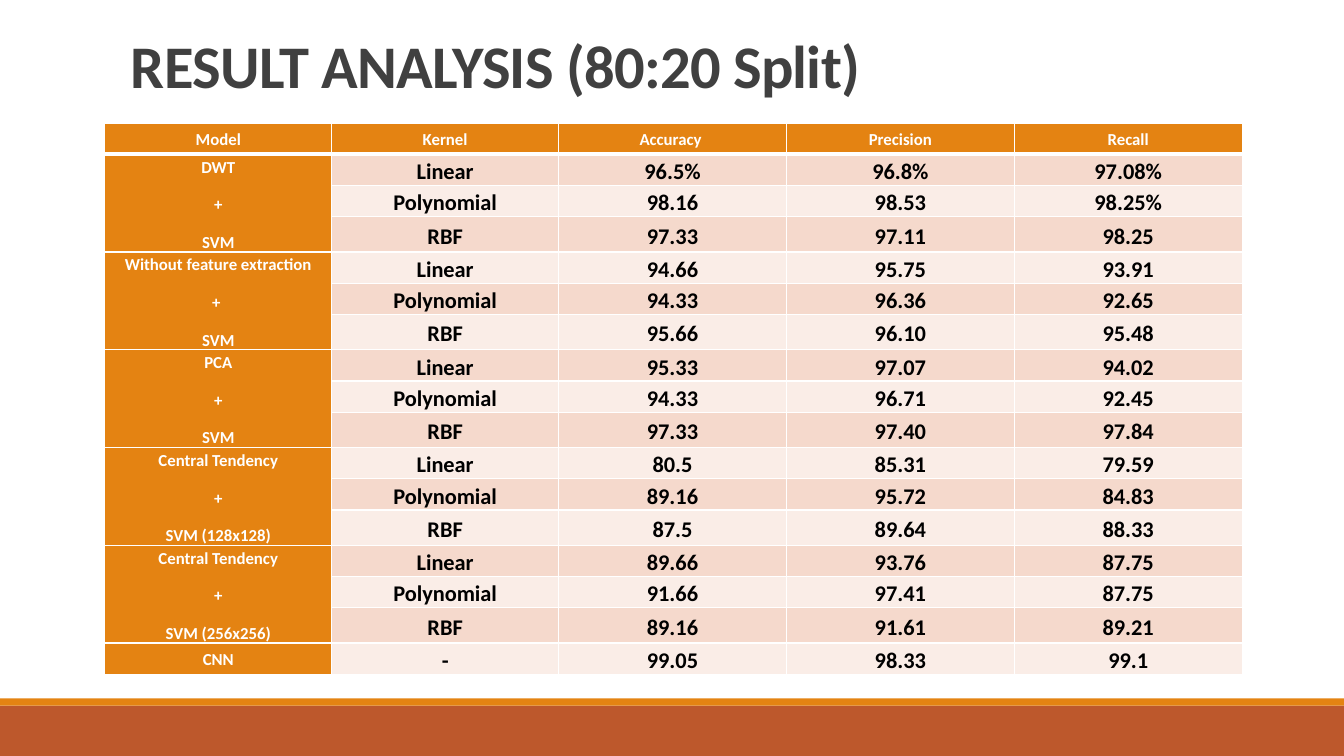
from dataclasses import dataclass

import lxml.etree
import pptx
import pptx.dml.color
import pptx.enum.shapes
import pptx.enum.text
import pptx.oxml.ns
import pptx.util

Inches = pptx.util.Inches
Pt = pptx.util.Pt
qn = pptx.oxml.ns.qn

COLORS = {
    "title": "404040",
    "orange": "E48312",
    "rust": "BD582C",
    "band_dark": "F5D9CC",
    "band_light": "FAEDE7",
    "white": "FFFFFF",
    "black": "000000",
}
KERNELS = ["Linear", "Polynomial", "RBF"]
HEADERS = ["Model", "Kernel", "Accuracy ", "Precision", "Recall"]
COL_WIDTHS = [2.25, 2.25, 2.26, 2.26, 2.26]
ROW_HEIGHT = 0.31
GROUP_HEIGHTS = [ROW_HEIGHT, ROW_HEIGHT, 0.35]


@dataclass
class Bar:
    top: float
    height: float
    color: str


@dataclass
class Model:
    lines: list[str]
    kernels: list[str]
    scores: list[str]  # accuracy, precision and recall for each kernel


BARS = [Bar(7, 0.5, "rust"), Bar(6.93, 0.07, "orange")]
MODELS = [
    Model(["DWT", "+", "SVM"], KERNELS,
          ["96.5% 96.8% 97.08%", "98.16 98.53 98.25%", "97.33 97.11 98.25"]),
    Model(["Without feature extraction", "+ ", "SVM"], KERNELS,
          ["94.66 95.75 93.91", "94.33 96.36 92.65", "95.66 96.10 95.48"]),
    Model(["PCA", "+", "SVM"], KERNELS,
          ["95.33 97.07 94.02", "94.33 96.71 92.45", "97.33 97.40 97.84"]),
    Model(["Central Tendency", "+", "SVM (128x128)"], KERNELS,
          ["80.5 85.31 79.59", "89.16 95.72 84.83", "87.5 89.64 88.33"]),
    Model(["Central Tendency", "+", "SVM (256x256)"], KERNELS,
          ["89.66 93.76 87.75", "91.66 97.41 87.75", "89.16 91.61 89.21"]),
    Model(["CNN"], ["-"], ["99.05 98.33 99.1"]),
]


def rgb(name: str) -> pptx.dml.color.RGBColor:
    return pptx.dml.color.RGBColor.from_string(COLORS[name])


def write(tf, lines: list[str], *, size: float, color: str, align: str = "CENTER",
          line_spacing: float = 1.15, space_after: float = 10,
          tracking: float = 0) -> None:
    """Fill a text frame with one bold paragraph per line."""
    for i, line in enumerate(lines):
        p = tf.add_paragraph() if i else tf.paragraphs[0]
        p.alignment = getattr(pptx.enum.text.PP_ALIGN, align)
        p.line_spacing = line_spacing
        p.space_after = Pt(space_after)
        r = p.add_run()
        r.text = line
        r.font.name = "Calibri"
        r.font.size = Pt(size)
        r.font.bold = True
        r.font.color.rgb = rgb(color)
        if tracking:
            r.font._element.set("spc", str(round(tracking * 100)))


def set_borders(cell, *, top: float = 1, bottom: float = 1) -> None:
    tc_pr = cell._tc.get_or_add_tcPr()
    widths = {"a:lnL": 1, "a:lnR": 1, "a:lnT": top, "a:lnB": bottom}
    for i, (tag, width) in enumerate(widths.items()):
        ln = lxml.etree.Element(qn(tag), w=str(Pt(width)))
        fill = lxml.etree.SubElement(ln, qn("a:solidFill"))
        lxml.etree.SubElement(fill, qn("a:srgbClr"), val=COLORS["white"])
        tc_pr.insert(i, ln)


def format_cell(cell, fill: str, *, top: float = 1, bottom: float = 1) -> None:
    cell.margin_left = cell.margin_right = Inches(0.05)
    cell.margin_top = cell.margin_bottom = 0
    cell.vertical_anchor = pptx.enum.text.MSO_ANCHOR.MIDDLE
    cell.fill.solid()
    cell.fill.fore_color.rgb = rgb(fill)
    set_borders(cell, top=top, bottom=bottom)


def add_bar(s, bar: Bar) -> None:
    sp = s.shapes.add_shape(pptx.enum.shapes.MSO_SHAPE.RECTANGLE, 0,
                            Inches(bar.top), Inches(13.33), Inches(bar.height))
    sp.shadow.inherit = False
    sp.fill.solid()
    sp.fill.fore_color.rgb = rgb(bar.color)
    sp.line.fill.background()


def add_title(s, text: str) -> None:
    sp = s.shapes.add_textbox(Inches(1.2), Inches(0.31), Inches(11), Inches(0.74))
    tf = sp.text_frame
    tf.word_wrap = True
    tf.vertical_anchor = pptx.enum.text.MSO_ANCHOR.BOTTOM
    write(tf, [text], size=43.2, color="title", align="LEFT",
          line_spacing=0.85, space_after=0, tracking=-0.5)


def add_results(s) -> None:
    heights = [ROW_HEIGHT]
    for model in MODELS:
        heights += GROUP_HEIGHTS[:len(model.kernels)]
    table = s.shapes.add_table(len(heights), len(HEADERS), Inches(1.04), Inches(1.22),
                               Inches(sum(COL_WIDTHS)), Inches(sum(heights))).table
    table.horz_banding = False
    for column, width in zip(table.columns, COL_WIDTHS):
        column.width = Inches(width)
    for row, height in zip(table.rows, heights):
        row.height = Inches(height)

    for col, header in enumerate(HEADERS):
        cell = table.cell(0, col)
        format_cell(cell, "orange", bottom=3)
        write(cell.text_frame, [header], size=12, color="white")

    row = 1
    for model in MODELS:
        first = table.cell(row, 0)
        if len(model.kernels) > 1:
            first.merge(table.cell(row + len(model.kernels) - 1, 0))
        write(first.text_frame, model.lines, size=12, color="white")
        for kernel, scores in zip(model.kernels, model.scores):
            top = 3 if row == 1 else 1
            format_cell(table.cell(row, 0), "orange", top=top)
            band = "band_dark" if row % 2 else "band_light"
            for col, value in enumerate([kernel, *scores.split()], start=1):
                cell = table.cell(row, col)
                format_cell(cell, band, top=top)
                write(cell.text_frame, [value], size=16, color="black")
            row += 1


def main() -> None:
    prs = pptx.Presentation()
    prs.slide_width = Inches(13.33)
    prs.slide_height = Inches(7.5)
    s = prs.slides.add_slide(prs.slide_layouts[6])
    for bar in BARS:
        add_bar(s, bar)
    add_title(s, "RESULT ANALYSIS (80:20 Split)")
    add_results(s)
    prs.save("out.pptx")


if __name__ == "__main__":
    main()
